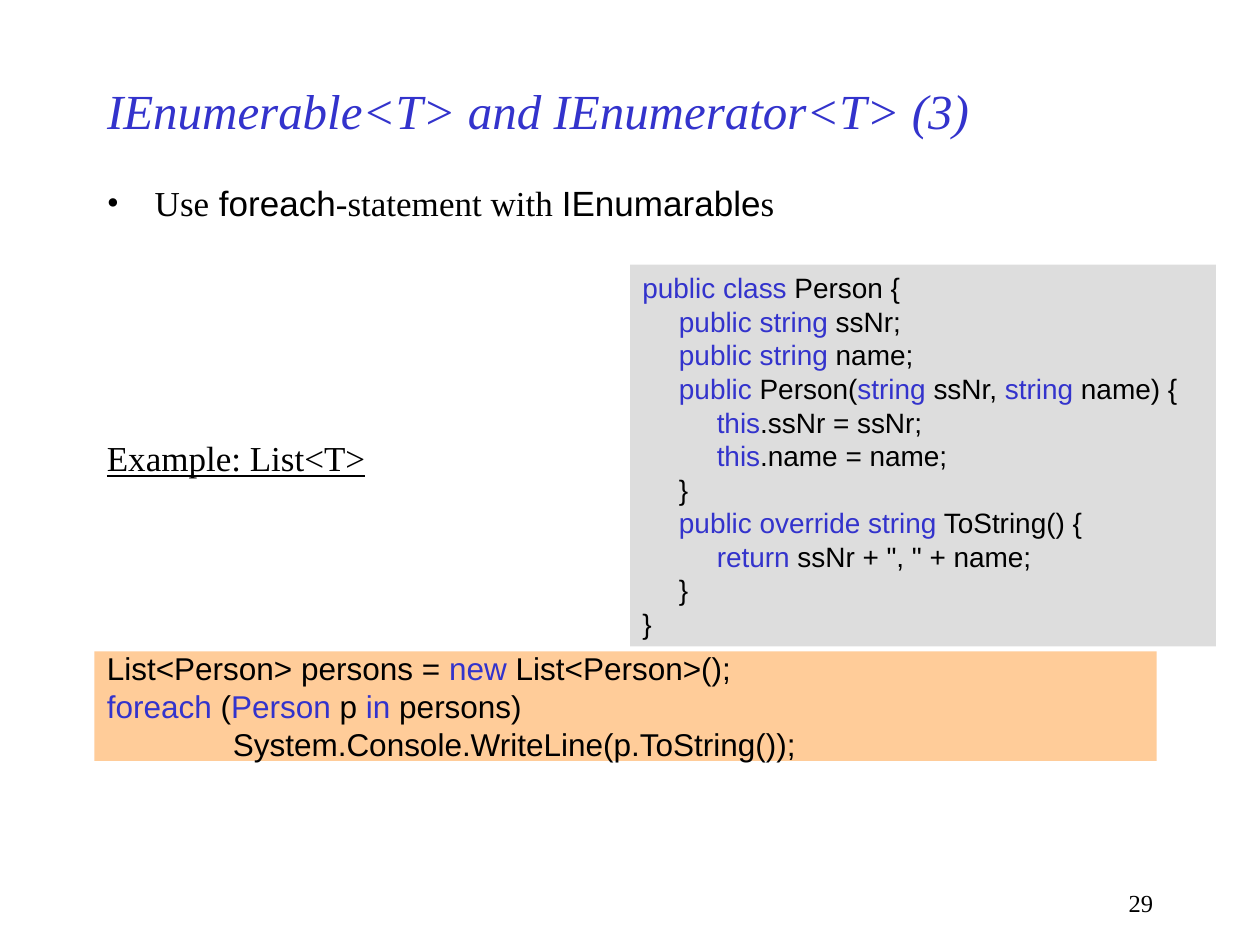
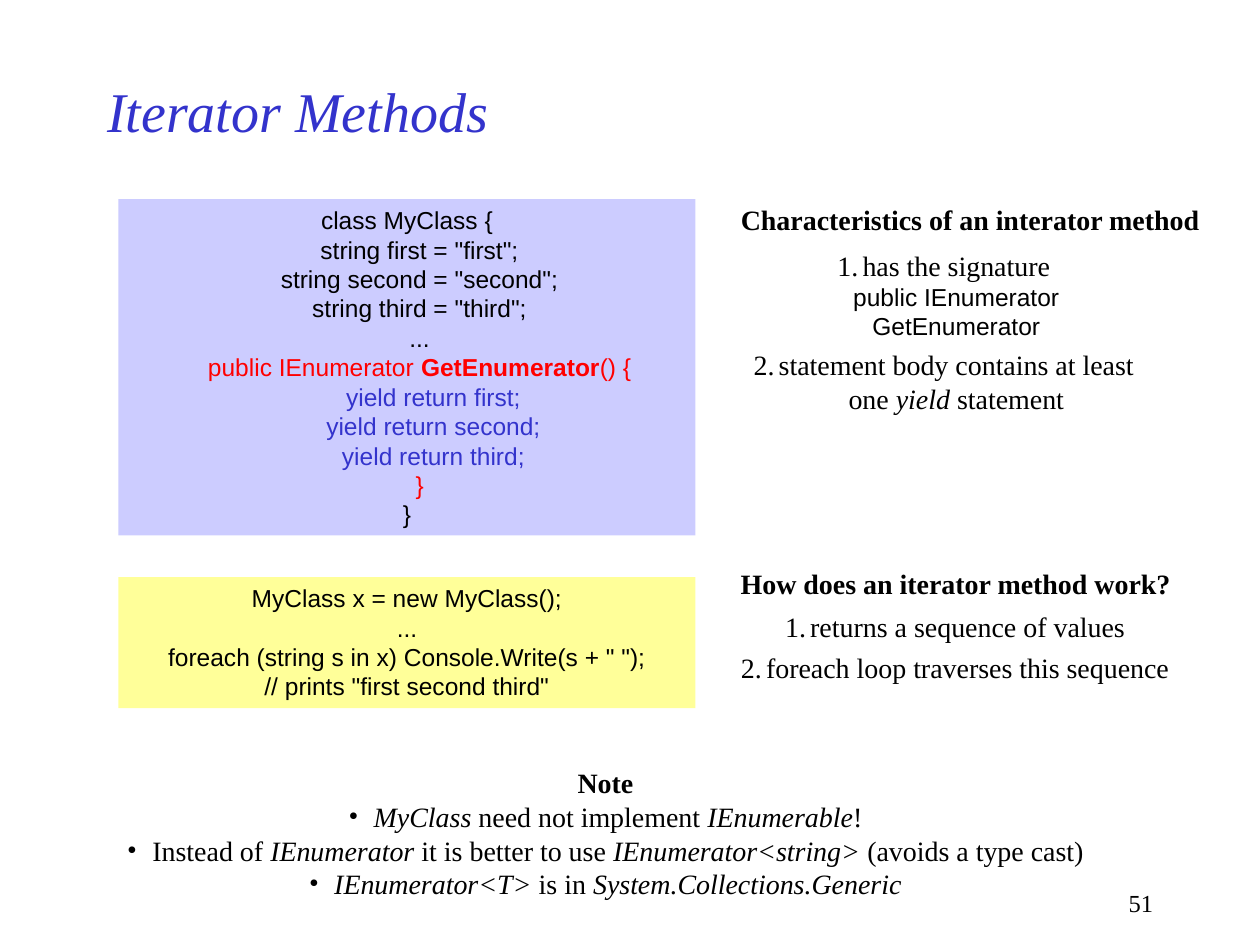
from dataclasses import dataclass

from lxml.etree import SubElement
from pptx import Presentation
from pptx.dml.color import RGBColor
from pptx.enum.shapes import MSO_SHAPE
from pptx.enum.text import MSO_ANCHOR, MSO_AUTO_SIZE, PP_ALIGN
from pptx.oxml.ns import qn
from pptx.util import Inches, Pt

COLUMNS, ROWS = 100, 75
WIDTH, HEIGHT = Inches(10), Inches(7.5)


@dataclass(frozen=True)
class Theme:
    serif: str = "Times New Roman"
    sans: str = "Arial"
    ink: str = "000000"
    accent: str = "3333CC"
    alert: str = "FF0000"
    grey: str = "DDDDDD"
    orange: str = "FFCC99"
    lavender: str = "CCCCFF"
    yellow: str = "FFFF99"
    body: int = 20
    code: int = 18
    label: int = 16
    small: int = 14


THEME = Theme()

# Each mark switches a format on, and off again at its next appearance
MARKS = {
    "~": {"color": THEME.accent},
    "#": {"color": THEME.alert},
    "`": {"font": THEME.sans},
    "^": {"size": THEME.small},
    "*": {"bold": True},
    "_": {"italic": True},
    "|": {"underline": True},
}

# Tab stops in inches
WIDE_TABS = [1, 2]
CLASS_TABS = [0.29, 0.59]
ITERATOR_TABS = [0.2, 0.42]


def place(left, top, width, height):
    """Turn grid columns and rows into slide lengths."""
    across, down = WIDTH / COLUMNS, HEIGHT / ROWS
    return [round(n) for n in (left * across, top * down, width * across, height * down)]


def add_span(para, text, font=THEME.serif, size=THEME.label, color=THEME.ink,
             bold=False, italic=False, underline=False):
    span = para.add_run()
    span.text = text
    style = span.font
    style.name, style.size = font, Pt(size)
    style.bold, style.italic, style.underline = bold, italic, underline
    style.color.rgb = RGBColor.from_string(color)


def add_marked_text(para, text, **style):
    """Write text with inline marks as spans of one format each."""
    active, buffer = [], ""

    def flush():
        if buffer:
            extra = {key: value for mark in active for key, value in MARKS[mark].items()}
            add_span(para, buffer, **{**style, **extra})

    for letter in text:
        if letter not in MARKS and letter != "\n":
            buffer += letter
            continue
        flush()
        buffer = ""
        if letter == "\n":
            para.add_line_break()
            size = style.get("size", THEME.label)
            SubElement(para._p[-1], qn("a:rPr")).set("sz", str(size * 100))
        elif letter in active:
            active.remove(letter)
        else:
            active.append(letter)
    flush()


def set_list(para, bullet, hang):
    """Hang the paragraph and give it a bullet character or a number."""
    props = para._p.get_or_add_pPr()
    props.set("marL", str(Inches(hang)))
    props.set("indent", str(-Inches(hang)))
    if bullet == "number":
        SubElement(props, qn("a:buFont")).set("typeface", THEME.serif)
        SubElement(props, qn("a:buAutoNum")).set("type", "arabicPeriod")
    elif bullet:
        SubElement(props, qn("a:buFont")).set("typeface", THEME.serif)
        SubElement(props, qn("a:buChar")).set("char", bullet)


def set_tabs(para, stops):
    tabs = SubElement(para._p.get_or_add_pPr(), qn("a:tabLst"))
    for stop in stops:
        SubElement(tabs, qn("a:tab"), pos=str(Inches(stop)), algn="l")


def write(frame, lines, align=PP_ALIGN.LEFT, gap=0, bullets=None, hang=0, tabs=(), **style):
    """Fill a text frame; bullets lists one entry for each line."""
    for index, line in enumerate(lines):
        para = frame.add_paragraph() if index else frame.paragraphs[0]
        para.alignment = align
        if index and gap:
            para.space_before = Pt(gap)
        if bullets:
            set_list(para, bullets[index], hang)
        if tabs:
            set_tabs(para, tabs)
        add_marked_text(para, line, **style)


def add_text(page, area, lines, wrap=False, **options):
    box = page.shapes.add_textbox(*place(*area))
    frame = box.text_frame
    frame.word_wrap = wrap
    frame.auto_size = MSO_AUTO_SIZE.NONE if wrap else MSO_AUTO_SIZE.SHAPE_TO_FIT_TEXT
    write(frame, lines, **options)


def add_code(page, area, fill, lines, anchor=MSO_ANCHOR.TOP, **options):
    box = page.shapes.add_shape(MSO_SHAPE.RECTANGLE, *place(*area))
    box.shadow.inherit = False
    box.fill.solid()
    box.fill.fore_color.rgb = RGBColor.from_string(fill)
    box.line.fill.background()
    frame = box.text_frame
    frame.word_wrap = True
    frame.vertical_anchor = anchor
    write(frame, lines, font=THEME.sans, **options)


def add_page(deck, title, title_size, number):
    """Add a slide with the shared title style and page number."""
    page = deck.slides.add_slide(deck.slide_layouts[5])
    heading = page.shapes.title
    heading.left, heading.top, heading.width, heading.height = place(7.5, 5, 75, 7.5)
    frame = heading.text_frame
    frame.auto_size = MSO_AUTO_SIZE.NONE
    frame.vertical_anchor = MSO_ANCHOR.MIDDLE
    write(frame, [title], size=title_size, color=THEME.accent, italic=True)
    add_text(page, (71.7, 70, 20.8, 3.3), [number], wrap=True,
             align=PP_ALIGN.RIGHT, size=THEME.small)
    return page


def build_foreach_page(deck):
    page = add_page(deck, "IEnumerable<T> and IEnumerator<T> (3)", 28, "29")

    # Loop over the list
    add_code(page, (7.5, 51.7, 84.3, 8.7), THEME.orange, [
        "List<Person> persons = ~new~ List<Person>();",
        "~foreach~ (~Person ~p~ in~ persons)",
        "\tSystem.Console.WriteLine(p.ToString());",
    ], anchor=MSO_ANCHOR.MIDDLE, size=THEME.code, tabs=WIDE_TABS)

    # Statement and example heading
    add_text(page, (7.5, 13.9, 85, 47), [
        "Use` foreach`-statement with `IEnumarable`s",
        "|Example: List<T>|",
    ], wrap=True, size=THEME.body, gap=122, bullets=["•", None], hang=0.38)

    # Element class
    add_code(page, (50, 21, 46.5, 30.3), THEME.grey, [
        "~public class~ Person {",
        "\t~public string~ ssNr;",
        "\t~public string~ name;",
        "\t~public~ Person(~string~ ssNr, ~string~ name) {",
        "\t\t~this~.ssNr = ssNr;",
        "\t\t~this~.name = name;",
        "\t}",
        "\t~public override string~ ToString() {",
        "\t\t~return~ ssNr + \", \" + name;",
        "\t}",
        "}",
    ], size=THEME.label, tabs=CLASS_TABS)


def build_iterator_page(deck):
    page = add_page(deck, "Iterator Methods", 32, "51")
    code_left, code_width, notes_left = 9.4, 45.8, 57.8
    centred = {"align": PP_ALIGN.CENTER}
    code_style = {**centred, "size": THEME.small, "tabs": ITERATOR_TABS}
    numbered = {**centred, "bullets": ["number"] * 2, "hang": 0.2, "gap": 4}

    # Iterator class and its use
    add_code(page, (code_left, 15.8, code_width, 26.7), THEME.lavender, [
        "class MyClass {",
        "\tstring first = \"first\";",
        "\tstring second = \"second\";",
        "\tstring third = \"third\";",
        "\t...",
        "\t#public IEnumerator *GetEnumerator*() {#",
        "\t\t~yield return first;~",
        "\t\t~yield return second;~",
        "\t\t~yield return third;~",
        "\t#}#",
        "}",
    ], **code_style)
    add_code(page, (code_left, 45.8, code_width, 10.4), THEME.yellow, [
        "MyClass x = new MyClass();",
        "...",
        "foreach (string s in x) Console.Write(s + \" \");",
        "// prints \"first second third\"",
    ], **code_style)

    # Explanations beside the code
    add_text(page, (notes_left, 15.6, 38.4, 3.7),
             ["*Characteristics of an interator method*"], **centred)
    add_text(page, (notes_left, 19.2, 34.2, 11.9), [
        "has the signature\n`^public IEnumerator GetEnumerator^`",
        "statement body contains at least\none _yield_ statement",
    ], **numbered)
    add_text(page, (notes_left, 44.5, 36.1, 3.7),
             ["*How does an iterator method work?*"], **centred)
    add_text(page, (notes_left, 47.9, 36, 6.9), [
        "returns a sequence of values",
        "foreach loop traverses this sequence",
    ], **numbered)

    # Closing note
    add_text(page, (9.1, 60.3, 77.9, 11.7), [
        "*Note*",
        "_MyClass_ need not implement _IEnumerable_!",
        "Instead of _IEnumerator_ it is better to use _IEnumerator<string>_ (avoids a type cast)",
        "_IEnumerator<T>_ is in _System.Collections.Generic_",
    ], bullets=[None, "•", "•", "•"], hang=0.2, **centred)


def main():
    deck = Presentation()
    deck.slide_width, deck.slide_height = WIDTH, HEIGHT
    build_foreach_page(deck)
    build_iterator_page(deck)
    deck.save("out.pptx")


if __name__ == "__main__":
    main()
